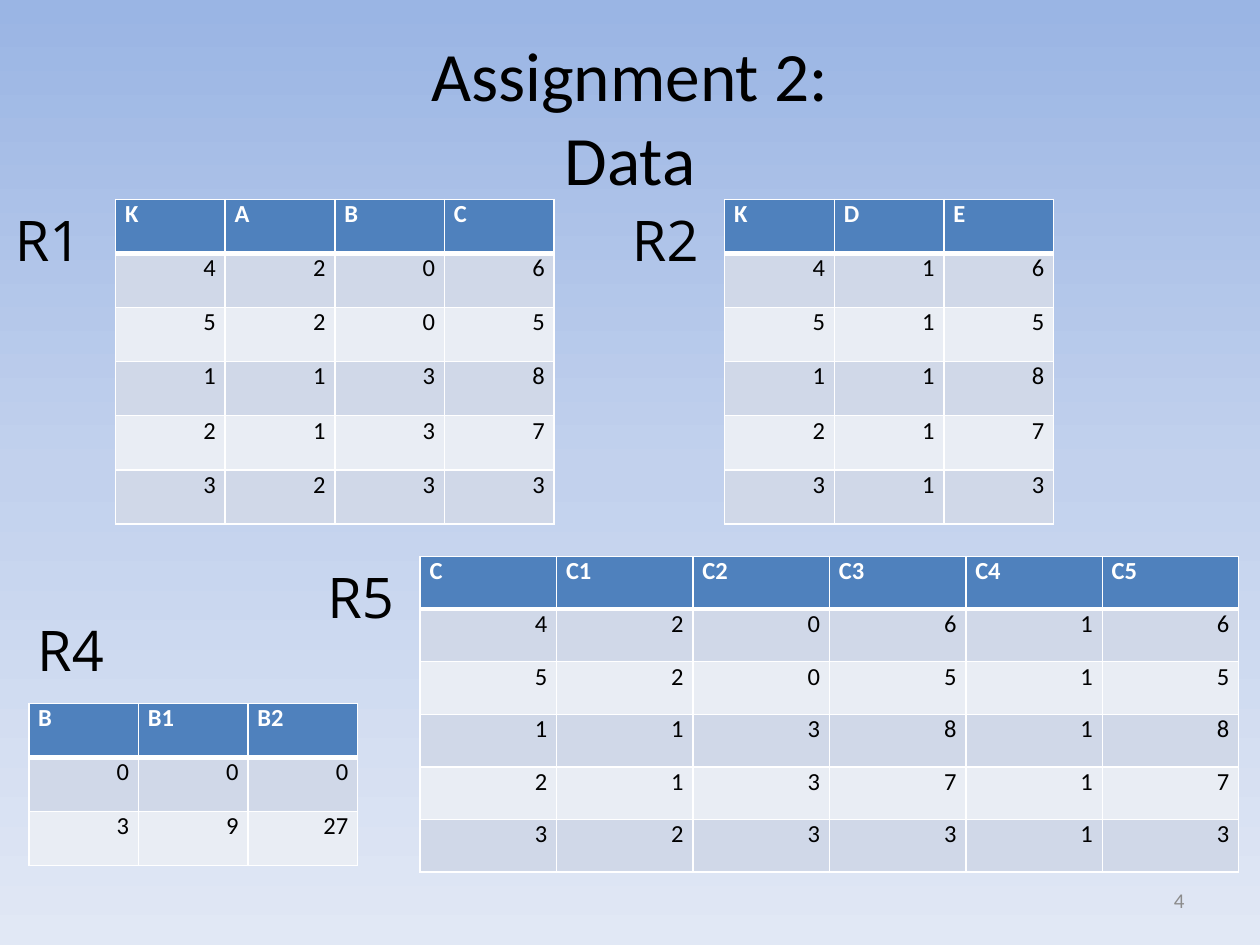
import copy

import pptx
import pptx.dml.color
import pptx.enum.text
import pptx.oxml
import pptx.oxml.ns
import pptx.util

Cm = pptx.util.Cm
Pt = pptx.util.Pt
ALIGN = pptx.enum.text.PP_ALIGN
ANCHOR = pptx.enum.text.MSO_ANCHOR

COLORS = {
    "sky_top": "9AB5E4",
    "sky_middle": "C2D1ED",
    "sky_bottom": "E1E8F5",
    "header": "4F81BD",
    "odd_row": "D0D8E8",
    "even_row": "E9EDF4",
    "white": "FFFFFF",
    "black": "000000",
    "page_number": "8C8C8C",
}

R1 = ["K A B C", "4 2 0 6", "5 2 0 5", "1 1 3 8", "2 1 3 7", "3 2 3 3"]
R2 = ["K D E", "4 1 6", "5 1 5", "1 1 8", "2 1 7", "3 1 3"]
R4 = ["B B1 B2", "0 0 0", "3 9 27"]
R5 = ["C C1 C2 C3 C4 C5", "4 2 0 6 1 6", "5 2 0 5 1 5",
      "1 1 3 8 1 8", "2 1 3 7 1 7", "3 2 3 3 1 3"]


def rgb(name):
    """Return the named colour."""
    return pptx.dml.color.RGBColor.from_string(COLORS[name])


def style_font(font, size, color, face="Calibri", bold=False):
    """Set face, size, weight and colour of a font."""
    font.name = face
    font.size = Pt(size)
    font.bold = bold
    font.color.rgb = rgb(color)


def paint_background(slide):
    """Fill the slide with a vertical three-stop gradient."""
    fill = slide.background.fill
    fill.gradient()
    fill.gradient_angle = 270
    stops = slide.element.find(".//" + pptx.oxml.ns.qn("a:gsLst"))
    stops.insert(1, copy.deepcopy(stops[0]))
    shades = [(0, "sky_top"), (0.5, "sky_middle"), (1, "sky_bottom")]
    for stop, (position, shade) in zip(fill.gradient_stops, shades):
        stop.position = position
        stop.color.rgb = rgb(shade)


def add_text(slide, text, box, size, color="black", face="Calibri",
             align=ALIGN.LEFT, anchor=ANCHOR.TOP):
    """Add a wrapped text box with one paragraph."""
    frame = slide.shapes.add_textbox(*map(Cm, box)).text_frame
    frame.word_wrap = True
    frame.vertical_anchor = anchor
    paragraph = frame.paragraphs[0]
    paragraph.text = text
    paragraph.alignment = align
    style_font(paragraph.font, size, color, face)


def add_borders(cell, top, bottom):
    """Draw white lines around a cell, widths in points."""
    widths = {"lnL": 1, "lnR": 1, "lnT": top, "lnB": bottom}
    properties = cell._tc.get_or_add_tcPr()
    for position, (side, width) in enumerate(widths.items()):
        properties.insert(position, pptx.oxml.parse_xml(
            f'<a:{side} {pptx.oxml.ns.nsdecls("a")} w="{Pt(width)}"><a:solidFill>'
            f'<a:srgbClr val="{COLORS["white"]}"/></a:solidFill></a:{side}>'))


def style_cell(cell, text, row):
    """Write a cell and style it by its row."""
    is_header = row == 0
    cell.margin_left = cell.margin_right = Cm(0.19)
    cell.margin_top = cell.margin_bottom = 0
    cell.fill.solid()
    band = "odd_row" if row % 2 else "even_row"
    cell.fill.fore_color.rgb = rgb("header" if is_header else band)
    add_borders(cell, 3 if row == 1 else 1, 3 if is_header else 1)
    paragraph = cell.text_frame.paragraphs[0]
    paragraph.text = text
    paragraph.alignment = ALIGN.LEFT if is_header else ALIGN.RIGHT
    style_font(paragraph.font, 14, "white" if is_header else "black", bold=is_header)


def add_relation(slide, lines, left, top, column_width=2.21, row_height=1.09):
    """Add a relation as a table of equal cells."""
    records = [line.split() for line in lines]
    rows, columns = len(records), len(records[0])
    table = slide.shapes.add_table(
        rows, columns, Cm(left), Cm(top),
        Cm(column_width * columns), Cm(row_height * rows)).table
    table.horz_banding = False
    for column in table.columns:
        column.width = Cm(column_width)
    for row, record in enumerate(records):
        table.rows[row].height = Cm(row_height)
        for column, value in enumerate(record):
            style_cell(table.cell(row, column), value, row)


def main():
    """Build the slide and save it."""
    deck = pptx.Presentation()
    deck.slide_width, deck.slide_height = Cm(25.4), Cm(19.05)
    slide = deck.slides.add_slide(deck.slide_layouts[6])
    paint_background(slide)
    add_text(slide, "Assignment 2:\vData", (1.27, 0.43, 22.86, 3.81), 39.6,
             align=ALIGN.CENTER, anchor=ANCHOR.MIDDLE)
    add_text(slide, "4", (18.2, 17.65, 5.93, 1.01), 12, "page_number",
             align=ALIGN.RIGHT, anchor=ANCHOR.MIDDLE)
    add_relation(slide, R1, 2.33, 4.02)
    add_relation(slide, R5, 8.47, 11.22, column_width=2.75, row_height=1.06)
    add_relation(slide, R2, 14.61, 4.02)
    add_relation(slide, R4, 0.58, 14.18)
    labels = [("R4", 0.5, 12.28), ("R1", 0.05, 4.02),
              ("R2", 12.49, 4.02), ("R5", 6.35, 11.22)]
    for name, left, top in labels:
        add_text(slide, name, (left, top, 2.13, 1.62), 32, face="Open Sans")
    deck.save("out.pptx")


if __name__ == "__main__":
    main()
